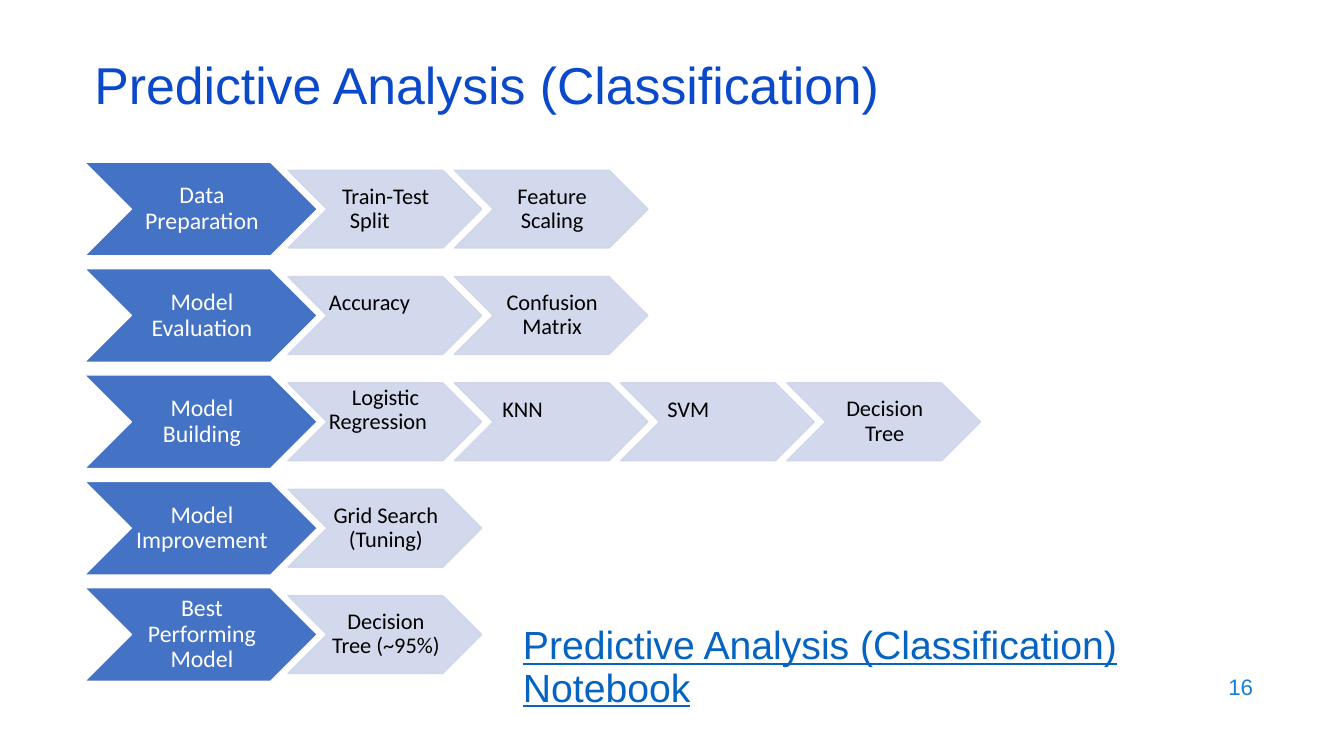
from lxml.etree import SubElement
from pptx import Presentation
from pptx.dml.color import RGBColor
from pptx.enum.shapes import MSO_SHAPE as Shape
from pptx.enum.text import MSO_ANCHOR as Anchor, PP_ALIGN as Align
from pptx.oxml.ns import qn
from pptx.util import Cm, Pt

# Content: each stage with its steps
STAGES = [
    ("Data Preparation", ["Train-Test Split", "Feature Scaling"]),
    ("Model Evaluation", ["Accuracy", "Confusion Matrix"]),
    ("Model Building", ["Logistic Regression", "KNN", "SVM", "Decision Tree"]),
    ("Model Improvement", ["Grid Search (Tuning)"]),
    ("Best Performing Model", ["Decision Tree (~95%)"]),
]
# Left-aligned steps: left margin, first-line indent, extra bottom inset (cm)
OFFSETS = {
    "Train-Test Split": (0.53, -0.2, 0),
    "Accuracy": (0, 0, 0.6),
    "Logistic Regression": (0, 0.58, 0.6),
    "KNN": (0.18, 0, 0.6),
    "SVM": (0.15, 0, 0.6),
}
# Plain texts: text, (left, top, width, height), anchor, paragraph, font, colour
TEXTS = [
    ("Predictive Analysis (Classification)", (2.13, 1.5, 29.21, 1.52), Anchor.MIDDLE,
     {"line_spacing": 0.8}, {"size": Pt(37)}, "0B49CB"),
    ("Predictive Analysis (Classification) Notebook", (12.93, 15.65, 18.42, 1.78), Anchor.TOP,
     {"line_spacing": 0.9}, {"size": Pt(28), "underline": True}, "0563C1"),
    ("16", (24.21, 16.74, 7.62, 1.12), Anchor.MIDDLE,
     {"alignment": Align.RIGHT}, {"size": Pt(16)}, "1C7DDB"),
]

# Layout in cm
LEFT, TOP, ROW_PITCH = 2.13, 4.09, 2.68
STAGE_SIZE, STEP_SIZE = (5.87, 2.36), (4.88, 1.96)
FIRST_STEP, STEP_PITCH = 7.26, 4.19


def colour(code):
    return RGBColor.from_string(code)


def apply(target, values):
    for name, value in values.items():
        setattr(target, name, value)


def write(frame, text, para_format, font_format, code):
    para = frame.paragraphs[0]
    span = para.add_run()
    span.text = text
    apply(para, para_format)
    apply(span.font, font_format)
    span.font.color.rgb = colour(code)
    return para


def add_chevron(page, text, place, fill, line, size, code, opacity=None):
    box = page.shapes.add_shape(Shape.CHEVRON, *map(Cm, place))
    box.shadow.inherit = False
    box.fill.solid()
    box.fill.fore_color.rgb = colour(fill)
    box.line.color.rgb = colour(line)
    box.line.width = Pt(1)
    if opacity:
        for tint in box._element.spPr.iter(qn("a:srgbClr")):
            SubElement(tint, qn("a:alpha"), val=str(opacity * 1000))
    margin, indent, lift = OFFSETS.get(text, (0, 0, 0))
    apply(box.text_frame, {
        "word_wrap": True, "vertical_anchor": Anchor.MIDDLE,
        "margin_left": Cm(0.05), "margin_right": 0,
        "margin_top": Cm(0.03), "margin_bottom": Cm(0.03 + lift)})
    align = Align.LEFT if text in OFFSETS else Align.CENTER
    para = write(box.text_frame, text, {"alignment": align, "line_spacing": 0.9},
                 {"name": "Calibri", "size": Pt(size)}, code)
    props = para._p.get_or_add_pPr()
    props.set("marL", str(Cm(margin)))
    props.set("indent", str(Cm(indent)))


def main():
    deck = Presentation()
    deck.slide_width, deck.slide_height = Cm(33.87), Cm(19.05)
    page = deck.slides.add_slide(deck.slide_layouts[6])

    # Title, notebook reference and page number
    for text, place, anchor, para_format, font_format, code in TEXTS:
        box = page.shapes.add_textbox(*map(Cm, place))
        apply(box.text_frame, {"word_wrap": True, "vertical_anchor": anchor})
        write(box.text_frame, text, para_format, {"name": "Arial", **font_format}, code)

    # Stage rows with their steps centred on the same line
    for row, (stage, steps) in enumerate(STAGES):
        top = TOP + row * ROW_PITCH
        add_chevron(page, stage, (LEFT, top, *STAGE_SIZE), "4472C4", "FFFFFF", 17, "FFFFFF")
        step_top = top + (STAGE_SIZE[1] - STEP_SIZE[1]) / 2
        for column, step in enumerate(steps):
            place = (FIRST_STEP + column * STEP_PITCH, step_top, *STEP_SIZE)
            add_chevron(page, step, place, "CFD5EA", "CFD5EA", 16, "000000", opacity=90)

    deck.save("out.pptx")


if __name__ == "__main__":
    main()
